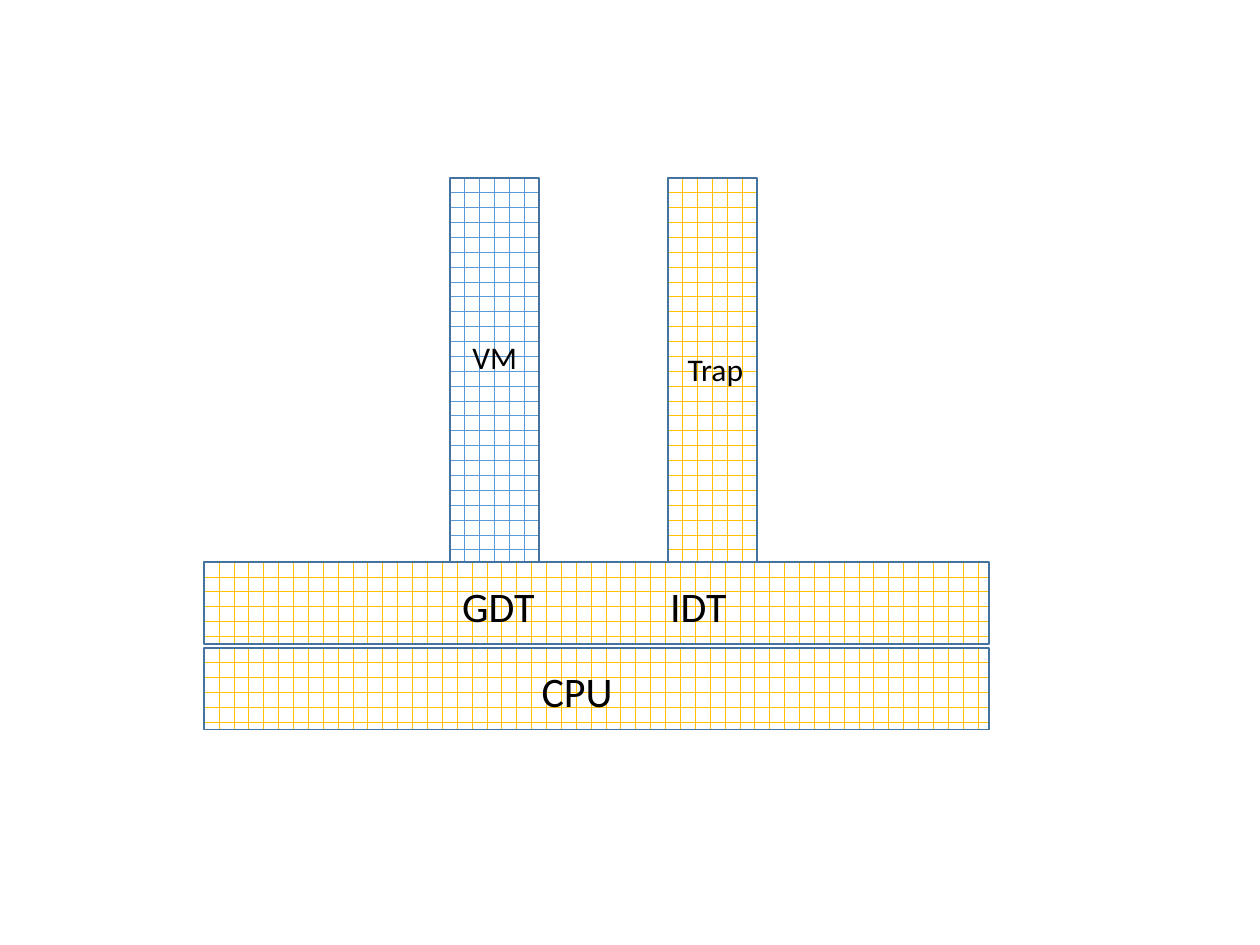
"""Build a slide of the VM and Trap columns on the GDT, IDT and CPU layers."""
from pptx import Presentation
from pptx.dml.color import RGBColor
from pptx.enum.dml import MSO_PATTERN
from pptx.enum.shapes import MSO_SHAPE
from pptx.enum.text import MSO_AUTO_SIZE
from pptx.util import Inches, Pt

theme = {
    "gold": RGBColor.from_string("FFC000"),
    "blue": RGBColor.from_string("5B9BD5"),
    "edge": RGBColor.from_string("43739E"),
    "white": RGBColor.from_string("FFFFFF"),
    "black": RGBColor.from_string("000000"),
    "font": "Calibri",
    "large": Pt(24),
    "small": Pt(18),
    "line": Pt(1),
}

deck = Presentation()
deck.slide_width, deck.slide_height = Inches(10), Inches(7.5)
slide = deck.slides.add_slide(deck.slide_layouts[6])

layer = (6.23, 0.65)
column = (0.71, 3.05)
blocks = [
    (1.62, 4.46, layer, "gold"),
    (3.57, 1.41, column, "blue"),
    (5.3, 1.41, column, "gold"),
    (1.62, 5.14, layer, "gold"),
]
for left, top, size, color in blocks:
    block = slide.shapes.add_shape(
        MSO_SHAPE.RECTANGLE, *map(Inches, (left, top, *size)))
    block.shadow.inherit = False
    block.fill.patterned()
    block.fill.pattern = MSO_PATTERN.HORIZONTAL_BRICK
    block.fill.fore_color.rgb = theme[color]
    block.fill.back_color.rgb = theme["white"]
    block.line.color.rgb = theme["edge"]
    block.line.width = theme["line"]

labels = [
    ("GDT", 3.57, 4.56, 0.78, 0.5, "large"),
    ("IDT", 5.22, 4.56, 0.65, 0.5, "large"),
    ("VM", 3.65, 2.63, 0.56, 0.4, "small"),
    ("Trap", 5.36, 2.73, 0.65, 0.4, "small"),
    ("CPU", 4.2, 5.23, 0.77, 0.5, "large"),
]
for text, left, top, width, height, size in labels:
    label = slide.shapes.add_textbox(*map(Inches, (left, top, width, height)))
    frame = label.text_frame
    frame.word_wrap = False
    frame.auto_size = MSO_AUTO_SIZE.SHAPE_TO_FIT_TEXT
    run = frame.paragraphs[0].add_run()
    run.text = text
    run.font.color.rgb = theme["black"]
    format = {"name": theme["font"], "size": theme[size]}
    for key, value in format.items():
        setattr(run.font, key, value)

deck.save("out.pptx")
